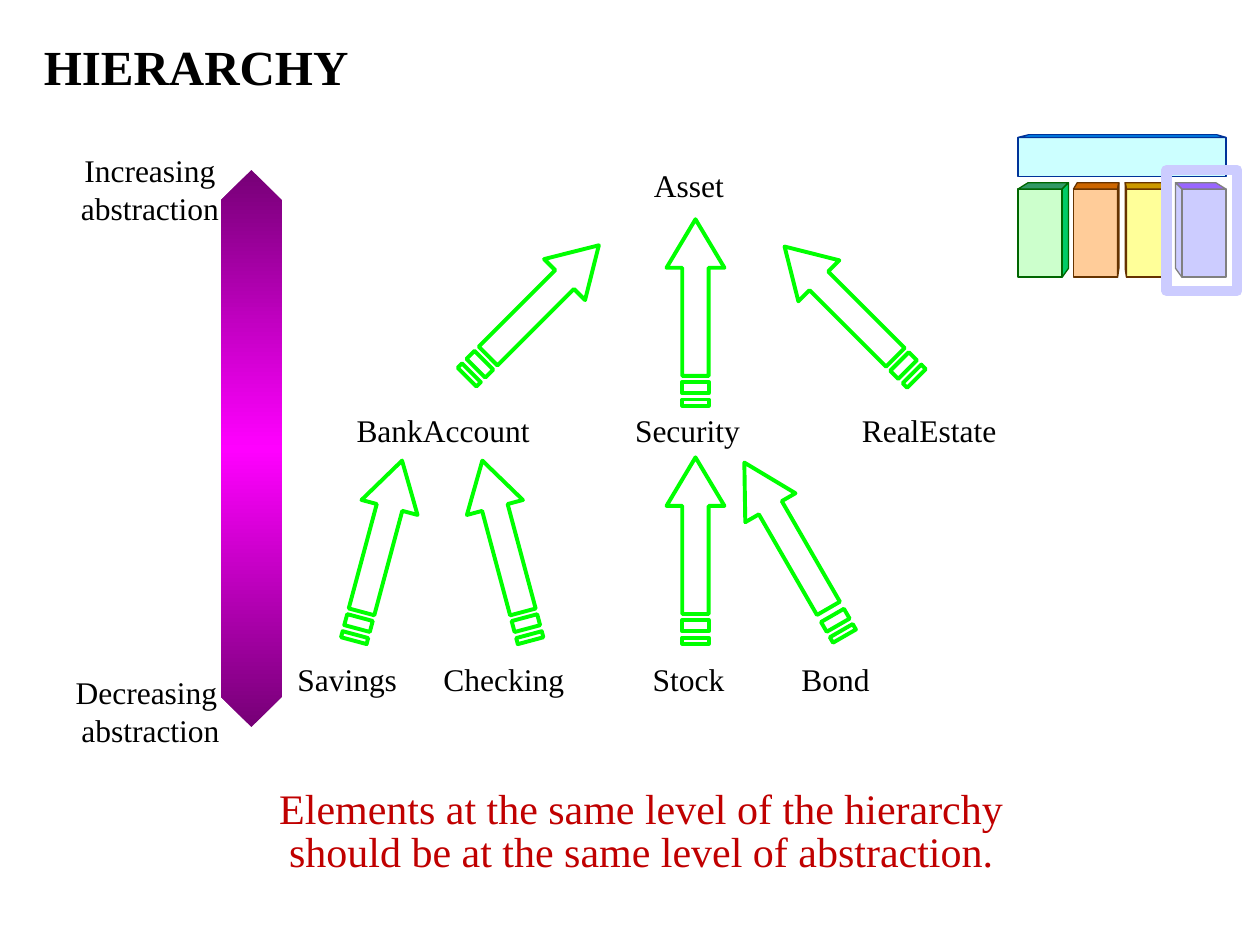
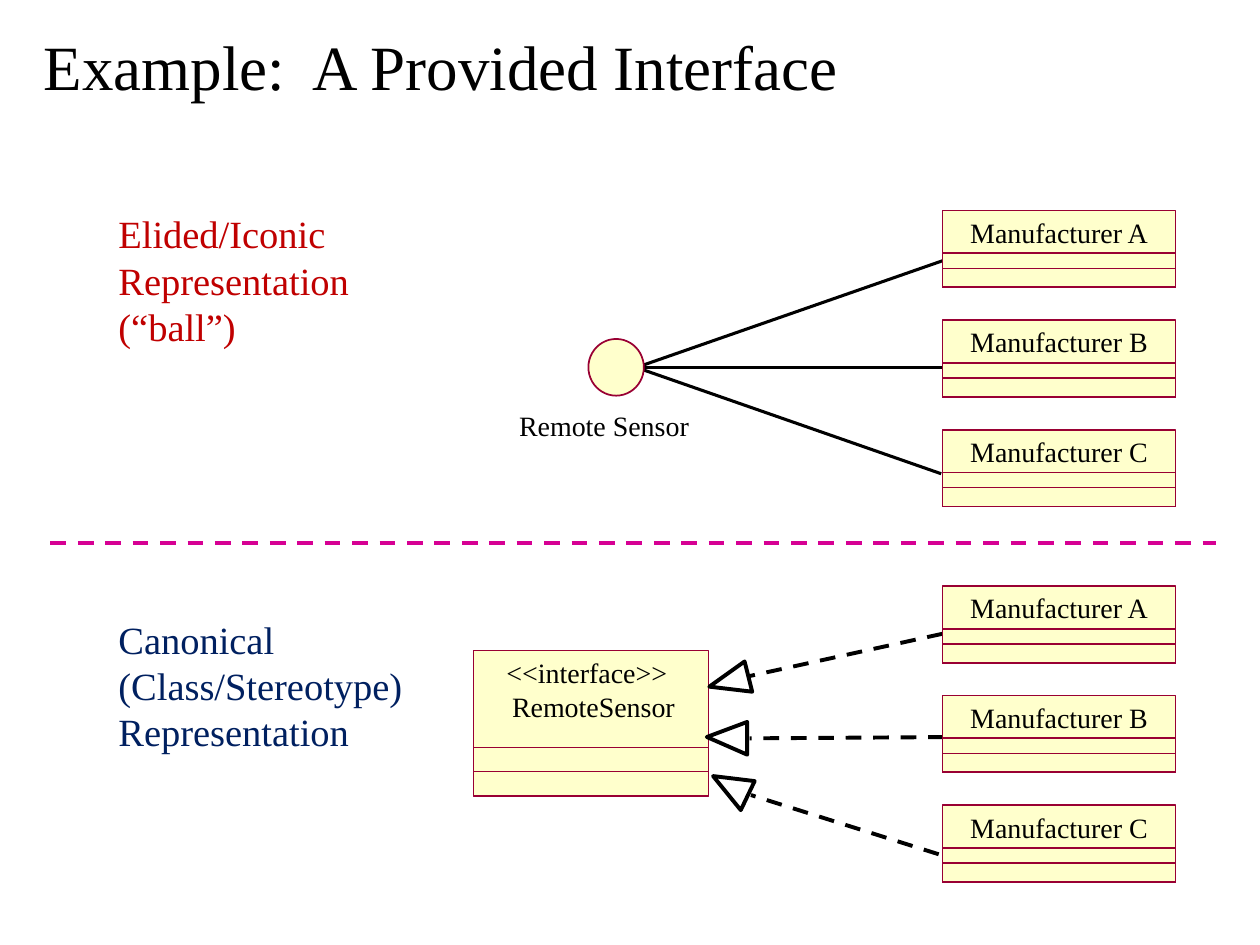
from copy import deepcopy

from pptx import Presentation
from pptx.dml.color import RGBColor
from pptx.enum.dml import MSO_LINE
from pptx.enum.shapes import MSO_CONNECTOR, MSO_SHAPE
from pptx.enum.text import MSO_ANCHOR, MSO_AUTO_SIZE, PP_ALIGN
from pptx.oxml.ns import qn
from pptx.oxml.xmlchemy import OxmlElement
from pptx.util import Inches, Pt

FONT = "Times New Roman"
BLACK = RGBColor(0x00, 0x00, 0x00)
RED = RGBColor(0xC0, 0x00, 0x00)
NAVY = RGBColor(0x00, 0x20, 0x60)
PLUM = RGBColor(0x76, 0x00, 0x76)
PINK = RGBColor(0xFF, 0x00, 0xFF)
ROSE = RGBColor(0xD6, 0x00, 0x93)
LIME = RGBColor(0x00, 0xFF, 0x00)
CREAM = RGBColor(0xFF, 0xFF, 0xCC)
WINE = RGBColor(0x99, 0x00, 0x33)
MINT = RGBColor(0xCC, 0xFF, 0xCC)
JADE = RGBColor(0x00, 0xCC, 0x66)
FERN = RGBColor(0x33, 0x99, 0x66)
PINE = RGBColor(0x00, 0x66, 0x00)
LILAC = RGBColor(0xCC, 0xCC, 0xFF)
GRAPE = RGBColor(0x99, 0x66, 0xFF)
GREY = RGBColor(0x80, 0x80, 0x80)
ICE = RGBColor(0xCC, 0xFF, 0xFF)
SKY = RGBColor(0x00, 0x99, 0xFF)
BLUE = RGBColor(0x00, 0x33, 0x99)
PEACH = RGBColor(0xFF, 0xCC, 0x99)
RUST = RGBColor(0xCC, 0x66, 0x00)
BROWN = RGBColor(0x66, 0x33, 0x00)
LEMON = RGBColor(0xFF, 0xFF, 0x99)
GOLD = RGBColor(0xCC, 0x99, 0x00)
OLIVE = RGBColor(0xCC, 0xCC, 0x00)


class Deck:
    def __init__(self):
        self.prs = Presentation()
        self.prs.slide_width, self.prs.slide_height = Inches(10), Inches(7.5)

    def start(self, title, size, bold=False):
        self.slide = self.prs.slides.add_slide(self.prs.slide_layouts[6])
        self.shapes = self.slide.shapes
        box = self.text((0.25, 0.02, 9.5, 1), [title], size, bold=bold, pad=(0.1, 0.05), wrap=True)
        box.text_frame.auto_size = MSO_AUTO_SIZE.NONE
        box.text_frame.vertical_anchor = MSO_ANCHOR.MIDDLE

    def text(self, area, lines, size, color=BLACK, align=PP_ALIGN.LEFT,
             pad=(0, 0), wrap=False, bold=False, gap=None):
        box = self.shapes.add_textbox(*map(Inches, area))
        frame = box.text_frame
        frame.word_wrap = wrap
        frame.auto_size = MSO_AUTO_SIZE.SHAPE_TO_FIT_TEXT
        frame.margin_left = frame.margin_right = Inches(pad[0])
        frame.margin_top = frame.margin_bottom = Inches(pad[1])
        for i, line in enumerate(lines):
            para = frame.add_paragraph() if i else frame.paragraphs[0]
            para.alignment = align
            if gap:
                para.line_spacing = gap
            for j, part in enumerate(line.split("\n")):
                if j:
                    para.add_line_break()
                run = para.add_run()
                run.text = part
                run.font.name, run.font.size = FONT, Pt(size)
                run.font.bold, run.font.color.rgb = bold, color
        return box

    def paint(self, shape, fill, line, width):
        shape.shadow.inherit = False
        if fill is None:
            shape.fill.background()
        else:
            shape.fill.solid()
            shape.fill.fore_color.rgb = fill
        shape.line.color.rgb = line
        shape.line.width = Pt(width)
        return shape

    def shape(self, area, fill, line, width, kind=MSO_SHAPE.RECTANGLE):
        shape = self.shapes.add_shape(kind, *map(Inches, area))
        return self.paint(shape, fill, line, width)

    def outline(self, loops, fill, line, width):
        loops = [[(Inches(x), Inches(y)) for x, y in loop] for loop in loops]
        pen = self.shapes.build_freeform(*loops[0][0])
        for i, loop in enumerate(loops):
            if i:
                pen.move_to(*loop[0])
            pen.add_line_segments(loop[1:], close=True)
        return self.paint(pen.convert_to_shape(), fill, line, width)

    def line(self, start, end, color, width, dash=False):
        line = self.shapes.add_connector(MSO_CONNECTOR.STRAIGHT, *map(Inches, start + end))
        line.line.color.rgb = color
        line.line.width = Pt(width)
        if dash:
            line.line.dash_style = MSO_LINE.DASH
        line._element.spPr.append(OxmlElement("a:effectLst"))

    def scale(self, area):
        arrow = self.shape(area, PLUM, PLUM, 1, MSO_SHAPE.UP_DOWN_ARROW)
        arrow.adjustments[0], arrow.adjustments[1] = 0.448, 1.803
        arrow.line.fill.background()
        arrow.fill.gradient()
        arrow.fill.gradient_angle = 90
        for stop, color, pos in zip(arrow.fill.gradient_stops, (PLUM, PINK), (0, 0.5)):
            stop.color.rgb, stop.position = color, pos
        stops = arrow._element.spPr.find(".//" + qn("a:gsLst"))
        last = deepcopy(stops[0])
        last.set("pos", "100000")
        stops.append(last)

    def arrow(self, left, top, angle, width=1.48):
        mid, half = top + 0.23, 0.105
        tail, join, neck = [left + width * part for part in (0, 0.16, 0.74)]
        tip = left + width
        body = [(neck, top), (neck, mid - half), (join, mid - half), (join, mid + half),
                (neck, mid + half), (neck, top + 0.46), (tip, mid)]
        bars = [[(a, mid - half), (b, mid - half), (b, mid + half), (a, mid + half)]
                for a, b in ((tail + 0.1, tail + 0.19), (tail, tail + 0.05))]
        self.outline([body] + bars, None, LIME, 2.25).rotation = angle

    def pillar(self, near, far, inset, depth, face, lid, side, edge):
        top, back, base = 1.5, 1.45, 2.2
        self.shape((min(near, far), top, 0.35, base - top), face, edge, 0.75)
        self.outline([[(near, top), (near + inset, back), (far + depth, back), (far, top)]],
                     lid, edge, 0.75)
        self.outline([[(far + depth, back), (far, top), (far, base), (far + depth, 2.13)]],
                     side, edge, 0.75)

    def maker(self, name, top):
        left, width, high = 7.48, 1.85, 0.61
        for drop, fill in ((0, CREAM), (0.34, None), (0.46, None)):
            self.shape((left, top + drop, width, high - drop), fill, WINE, 1)
        self.text((left + 0.1, top + 0.04, width - 0.2, 0.27), ["Manufacturer " + name], 16,
                  align=PP_ALIGN.CENTER, wrap=True)

    def makers(self, top):
        for i, name in enumerate("ABC"):
            self.maker(name, top + 0.87 * i)


def levels(deck):
    deck.start("HIERARCHY", 28, bold=True)
    deck.scale((1.75, 1.35, 0.49, 4.42))
    for area, word in (((0.48, 1.15, 1.42, 0.7), "Increasing"),
                       ((0.43, 5.29, 1.53, 0.7), "Decreasing ")):
        deck.text(area, [word, "abstraction"], 18, align=PP_ALIGN.CENTER, pad=(0.1, 0.05))
    rows = {
        1.32: [("Asset", 5.19, 0.62)],
        3.26: [("BankAccount", 2.83, 1.47), ("Security", 5.04, 0.9), ("RealEstate", 6.84, 1.22)],
        5.24: [("Savings", 2.36, 0.89), ("Checking", 3.52, 1.04), ("Stock", 5.18, 0.62),
               ("Bond", 6.36, 0.58)],
    }
    for top, row in rows.items():
        for word, left, width in row:
            deck.text((left, top, width, 0.3), [word], 18)
    deck.text((1.72, 6.22, 6.74, 0.78),
              ["Elements at the same level of the hierarchy should be at the same level of abstraction."],
              24, RED, PP_ALIGN.CENTER, (0.1, 0.05), wrap=True, gap=0.85)

    deck.pillar(8.08, 8.43, 0.08, 0.05, MINT, FERN, JADE, PINE)
    deck.pillar(9.73, 9.38, -0.08, -0.05, LILAC, GRAPE, LILAC, GREY)
    deck.shape((8.08, 1.09, 1.65, 0.31), ICE, BLUE, 0.75)
    deck.outline([[(9.73, 1.09), (9.66, 1.07), (8.16, 1.07), (8.08, 1.09)]], SKY, BLUE, 0.75)
    deck.pillar(8.52, 8.87, 0.03, 0.01, PEACH, RUST, RUST, BROWN)
    deck.pillar(9.29, 8.94, -0.03, -0.01, LEMON, GOLD, OLIVE, BROWN)
    deck.shape((9.26, 1.35, 0.56, 0.96), None, LILAC, 6)

    for left, top, angle in ((4.78, 2.25, 270), (3.49, 2.24, 315), (6.01, 2.25, 225),
                             (4.78, 4.14, 270), (3.28, 4.14, 255), (2.26, 4.14, 285)):
        deck.arrow(left, top, angle)
    deck.arrow(5.51, 4.13, 240, 1.59)


def sensor(deck):
    deck.start("Example:  A Provided Interface", 36)
    deck.shape((3.76, 5.16, 1.86, 1.15), CREAM, WINE, 0.25)
    deck.shape((3.76, 5.93, 1.86, 0.39), None, WINE, 0.25)
    deck.line((3.76, 6.12), (5.62, 6.12), WINE, 0.25)
    deck.text((4.02, 5.2, 1.37, 0.27), ["<<interface>>"], 16)
    deck.text((3.97, 5.47, 1.48, 0.27), ["RemoteSensor"], 16, align=PP_ALIGN.CENTER)

    for start, end in (((7.86, 2.92), (5.1, 2.92)), ((7.48, 2.07), (5.07, 2.91)),
                       ((7.47, 3.76), (5.09, 2.93))):
        deck.line(start, end, BLACK, 1.75)
    deck.shape((4.67, 2.69, 0.44, 0.45), CREAM, WINE, 1, MSO_SHAPE.OVAL)
    deck.text((4.12, 3.24, 1.54, 0.27), ["Remote Sensor"], 16)

    for start, end, head in (
            ((7.48, 5.03), (5.93, 5.37), [(5.63, 5.45), (5.97, 5.49), (5.91, 5.25)]),
            ((7.49, 5.85), (5.95, 5.86), [(5.61, 5.85), (5.93, 5.73), (5.93, 5.99)]),
            ((7.45, 6.78), (5.96, 6.31), [(5.66, 6.16), (5.99, 6.2), (5.88, 6.43)])):
        deck.line(start, end, BLACK, 2.25, dash=True)
        deck.outline([head], None, BLACK, 2.25)
    deck.makers(1.67)
    deck.makers(4.65)
    deck.line((0.4, 4.31), (9.65, 4.31), ROSE, 2.25, dash=True)

    for top, width, words, color in (
            (1.61, 2.58, "Elided/Iconic Representation\n(“ball”)", RED),
            (4.83, 2.88, "Canonical (Class/Stereotype) Representation", NAVY)):
        deck.text((0.82, top, width, 1.23), [words], 22, color, pad=(0.12, 0.06), wrap=True)


def main():
    deck = Deck()
    levels(deck)
    sensor(deck)
    deck.prs.save("out.pptx")


if __name__ == "__main__":
    main()
